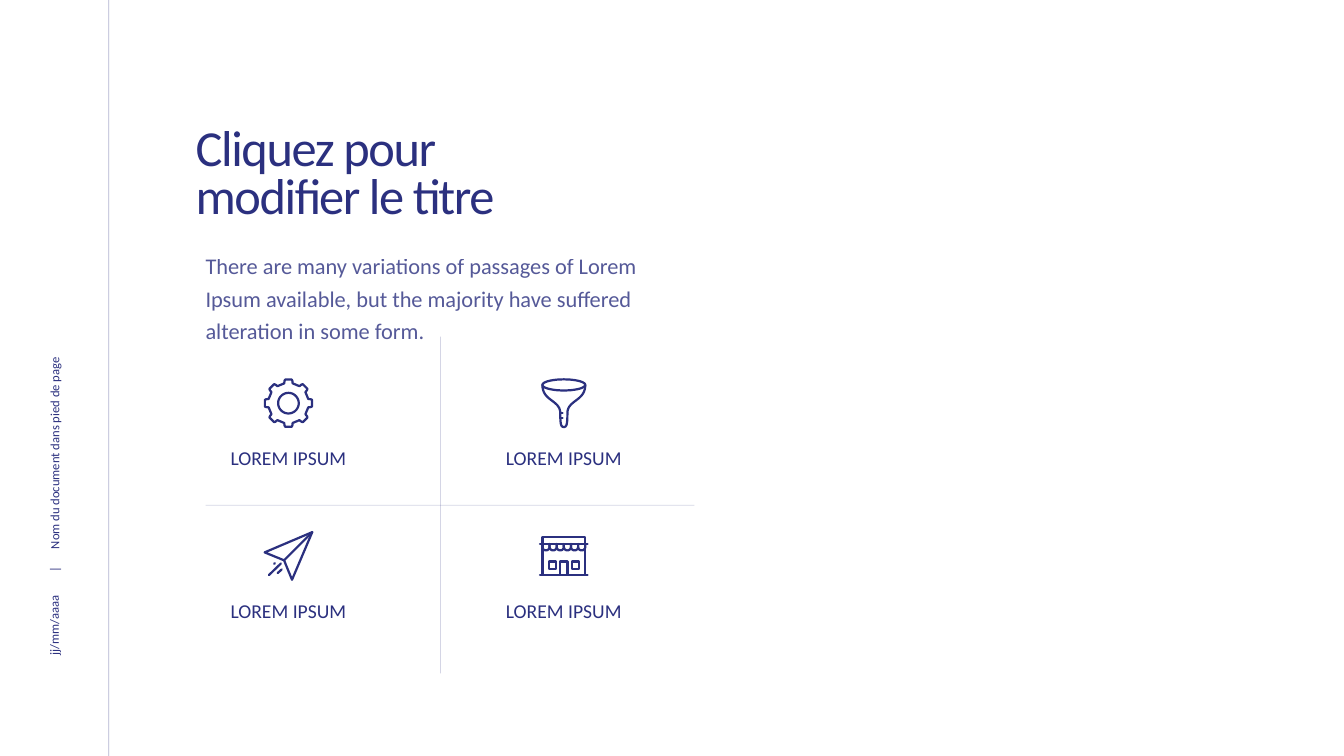
import math
from dataclasses import dataclass

import pptx
import pptx.dml.color
import pptx.enum.shapes
import pptx.enum.text
import pptx.oxml
import pptx.oxml.ns
import pptx.util
from pptx.util import Cm, Pt

ANCHOR = pptx.enum.text.MSO_ANCHOR
ALIGN = pptx.enum.text.PP_ALIGN


@dataclass(frozen=True)
class Theme:
    ink: pptx.dml.color.RGBColor = pptx.dml.color.RGBColor(0x2B, 0x30, 0x7F)
    font: str = "Calibri"
    title: int = 36
    body: int = 16
    label: int = 14
    footer: int = 9
    rule: float = 0.5
    icon_stroke: float = 1.6


THEME = Theme()
UNITS_PER_CM = 1000


def set_opacity(element, percent):
    """Make every solid colour inside the element partly transparent."""
    for colour in element.iter(pptx.oxml.ns.qn("a:srgbClr")):
        alpha = colour.makeelement(pptx.oxml.ns.qn("a:alpha"), {"val": str(percent * 1000)})
        colour.append(alpha)


def add_text(slide, text, box, size, insets=(0, 0.13), spacing=1.0, align=ALIGN.LEFT,
             anchor=ANCHOR.TOP, rotation=0, opacity=100, tracking=0, grow=False):
    """Add a text box; box is left, top, width, height and insets are side, top, in cm."""
    holder = slide.shapes.add_textbox(*map(Cm, box))
    holder.rotation = rotation
    frame = holder.text_frame
    frame.word_wrap = True
    frame.vertical_anchor = anchor
    if grow:
        frame.auto_size = pptx.enum.text.MSO_AUTO_SIZE.SHAPE_TO_FIT_TEXT
    side, top = map(Cm, insets)
    frame.margin_left = frame.margin_right = side
    frame.margin_top = top
    frame.margin_bottom = Cm(0.13)
    paragraph = frame.paragraphs[0]
    paragraph.text = text
    paragraph.alignment = align
    paragraph.line_spacing = spacing
    for run in paragraph.runs:
        run.font.name = THEME.font
        run.font.size = Pt(size)
        run.font.color.rgb = THEME.ink
        if tracking:
            run.font._element.set("spc", str(tracking * 100))
        if opacity < 100:
            set_opacity(run._r, opacity)


def add_rule(slide, start, end, opacity=20):
    rule = slide.shapes.add_connector(
        pptx.enum.shapes.MSO_CONNECTOR.STRAIGHT, *map(Cm, (*start, *end)))
    rule.line.color.rgb = THEME.ink
    rule.line.width = Pt(THEME.rule)
    properties = rule._element.spPr
    set_opacity(properties, opacity)
    properties.append(properties.makeelement(pptx.oxml.ns.qn("a:effectLst"), {}))


def add_icon(slide, centre, strokes):
    """Draw strokes, each (points in cm from the centre, closed), as one outline."""
    builder = None
    for points, closed in strokes:
        scaled = [(x * UNITS_PER_CM, y * UNITS_PER_CM) for x, y in points]
        if builder is None:
            builder = slide.shapes.build_freeform(*scaled[0], scale=Cm(1) / UNITS_PER_CM)
        else:
            builder.move_to(*scaled[0])
        builder.add_line_segments(scaled[1:], close=closed)
    icon = builder.convert_to_shape(*map(Cm, centre))
    icon.shadow.inherit = False
    icon.fill.background()
    icon.line.color.rgb = THEME.ink
    icon.line.width = Pt(THEME.icon_stroke)
    outline = icon.line._get_or_add_ln()
    outline.set("cap", "rnd")
    outline.append(outline.makeelement(pptx.oxml.ns.qn("a:round"), {}))


def polar(radius, degrees):
    angle = math.radians(degrees)
    return radius * math.cos(angle), radius * math.sin(angle)


def arc(centre_x, centre_y, radius_x, radius_y, start, end, steps):
    """Points along an elliptic arc, with angles in degrees."""
    angles = [math.radians(start + (end - start) * i / steps) for i in range(steps + 1)]
    return [(centre_x + radius_x * math.cos(a), centre_y + radius_y * math.sin(a))
            for a in angles]


def bezier(p0, p1, p2, p3, steps=20):
    points = []
    for i in range(steps + 1):
        t = i / steps
        weights = ((1 - t) ** 3, 3 * t * (1 - t) ** 2, 3 * t * t * (1 - t), t ** 3)
        points.append(tuple(sum(w * p[axis] for w, p in zip(weights, (p0, p1, p2, p3)))
                            for axis in (0, 1)))
    return points


def rectangle(left, top, right, bottom):
    return [(left, top), (right, top), (right, bottom), (left, bottom)]


def gear():
    tooth = ((0.51, -12), (0.57, -10), (0.6, -8), (0.6, 8), (0.57, 10), (0.51, 12))
    rim = [polar(radius, 45 * i + offset) for i in range(8) for radius, offset in tooth]
    return [(rim, True), (arc(0, 0, 0.26, 0.26, 0, 360, 36), True)]


def funnel():
    left_side = bezier((-0.54, -0.46), (-0.54, -0.05), (-0.09, -0.08), (-0.09, 0.25))
    left_side += bezier((-0.09, 0.25), (-0.09, 0.54), (-0.07, 0.6), (0, 0.6))
    right_side = [(-x, y) for x, y in reversed(left_side)]
    ticks = [([(-0.09, y), (-0.03, y)], False) for y in (0.25, 0.37)]
    return [(arc(0, -0.46, 0.54, 0.14, 0, 360, 36), True),
            (left_side + right_side, False), *ticks]


def paper_plane():
    tip, fold = (0.6, -0.6), (-0.11, 0.11)
    trails = (((-0.19, 0.19), (-0.49, 0.48)), ((-0.17, 0.34), (-0.27, 0.43)),
              ((-0.34, 0.18), (-0.36, 0.2)))
    return [([tip, (-0.6, -0.09), fold, (0.09, 0.6)], True), ([tip, fold], False),
            *((trail, False) for trail in trails)]


def shop():
    wall, floor, awning, scallop = 0.54, 0.48, -0.3, 0.18
    scallops = []
    for i in range(6):
        left = -wall + i * scallop
        edge = arc(left + scallop / 2, -0.23, scallop / 2, 0.09, 180, 0, 12)
        scallops.append(([(left, awning), *edge, (left + scallop, awning)], False))
    windows = [(rectangle(x, 0.14, x + 0.18, 0.32), True) for x in (-0.38, 0.2)]
    ledges = [([(-0.6, y), (0.6, y)], False) for y in (awning, floor)]
    return [(rectangle(-wall, -floor, wall, floor), True), *ledges, *scallops, *windows,
            (rectangle(-0.09, 0.14, 0.09, floor), True)]


def add_feature(slide, centre, icon, label):
    x, y = centre
    add_icon(slide, centre, icon)
    add_text(slide, label, (x - 3.83, y + 1.11, 7.66, 0.69), THEME.label,
             spacing=0.7, align=ALIGN.CENTER, grow=True)


def add_margin(slide):
    add_rule(slide, (2.74, 0), (2.74, 19.05), opacity=36)
    for text, box, anchor, spacing in (
        ("|", (1.04, 13.97, 0.64, 0.79), ANCHOR.TOP, 1.2),
        ("Nom du document dans pied de page", (-2.21, 10.11, 7.16, 0.79), ANCHOR.MIDDLE, 1.0),
        ("jj/mm/aaaa", (0.25, 15.24, 2.21, 0.84), ANCHOR.MIDDLE, 1.0),
    ):
        add_text(slide, text, box, THEME.footer, insets=(0.25, 0.13),
                 spacing=spacing, anchor=anchor, rotation=270)


def main():
    deck = pptx.Presentation()
    deck.slide_width, deck.slide_height = Cm(33.87), Cm(19.05)
    slide = deck.slides.add_slide(deck.slide_layouts[6])

    add_margin(slide)
    add_text(slide, "Cliquez pour\vmodifier le titre", (4.93, 2.69, 11.73, 4.5),
             THEME.title, insets=(0, 0.53), spacing=0.8, tracking=-1)
    add_rule(slide, (11.1, 8.48), (11.1, 16.97))
    add_rule(slide, (5.18, 12.73), (17.5, 12.73))

    rows = ((10.16, (gear(), funnel())), (14.01, (paper_plane(), shop())))
    for y, icons in rows:
        for x, icon in zip((7.27, 14.21), icons):
            add_feature(slide, (x, y), icon, "LOREM IPSUM")

    add_text(slide, "There are many variations of passages of Lorem Ipsum available, "
             "but the majority have suffered alteration in some form.",
             (5.18, 6.1, 11.73, 2.64), THEME.body, spacing=1.2, opacity=80, grow=True)
    deck.save("out.pptx")


if __name__ == "__main__":
    main()
